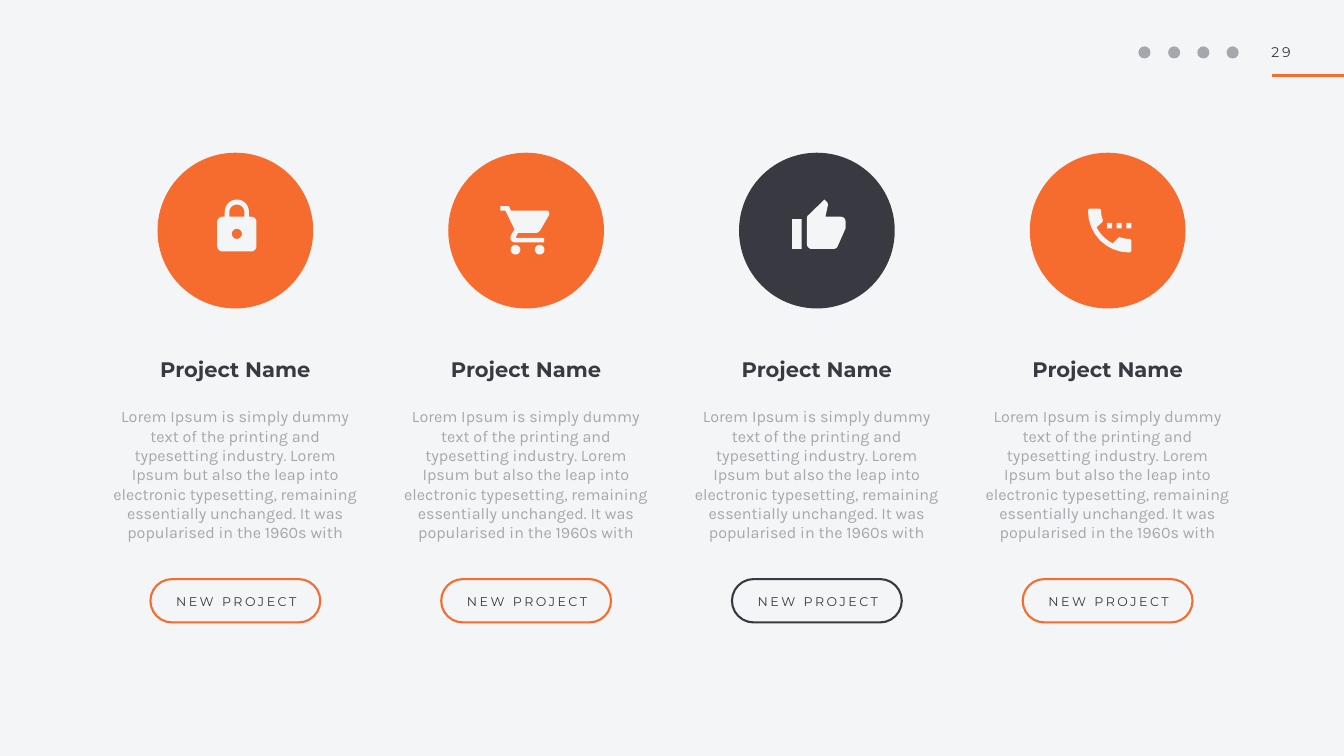
from lxml.etree import SubElement
from pptx import Presentation
from pptx.dml.color import RGBColor
from pptx.enum.shapes import MSO_CONNECTOR, MSO_SHAPE
from pptx.enum.text import MSO_ANCHOR, MSO_AUTO_SIZE, PP_ALIGN
from pptx.oxml.ns import qn
from pptx.util import Inches, Pt

COLORS = {"paper": "F4F5F7", "orange": "F56C2E", "dark": "393941", "grey": "A6A7AC"}
HEADING = "Project Name"
BODY = ("Lorem Ipsum is simply dummy text of the printing and typesetting industry. "
        "Lorem Ipsum but also the leap into electronic typesetting, remaining "
        "essentially unchanged. It was popularised in the 1960s with")
BUTTON = "NEW PROJECT"
PAGE_NUMBER = "29"


def disc(x, y, radius):
    k = 0.55 * radius
    left, right, top, bottom = x - radius, x + radius, y - radius, y + radius
    return [(left, y), (left, y - k, x - k, top, x, top),
            (x + k, top, right, y - k, right, y),
            (right, y + k, x + k, bottom, x, bottom),
            (x - k, bottom, left, y + k, left, y)]


def block(left, top, right, bottom):
    return [(left, top), (right, top), (right, bottom), (left, bottom)]


# Icon outlines in hundredths of an inch: pairs are corners, sextets Bezier curves.
LOCK = [
    [(68, 34), (63, 34), (63, 25), (63, 11, 53, 0, 39, 0), (25, 0, 15, 11, 15, 25),
     (15, 34), (10, 34), (5, 34, 0, 39, 0, 44), (0, 92), (0, 98, 5, 103, 10, 103),
     (68, 103), (73, 103, 78, 98, 78, 92), (78, 44), (78, 39, 73, 34, 68, 34)],
    disc(39, 68, 10),
    [(54, 34), (24, 34), (24, 25), (24, 16, 31, 10, 39, 10), (47, 10, 54, 16, 54, 25)],
]
CART = [
    [(0, 0), (0, 9), (10, 9), (28, 46), (21, 58), (21, 59, 20, 61, 20, 63),
     (20, 69, 24, 72, 30, 72), (87, 72), (87, 63), (32, 63), (31, 63, 31, 62, 31, 62),
     (31, 61), (35, 53), (71, 53), (74, 53, 77, 51, 79, 48), (97, 17),
     (97, 16, 97, 16, 97, 15), (97, 11, 96, 9, 93, 9), (21, 9), (17, 0)],
    disc(30, 86.5, 9.5),
    disc(78, 86.5, 9.5),
]
THUMB = [
    block(0, 39, 19, 98),
    [(106, 44), (106, 38, 102, 34, 96, 34), (66, 34), (71, 11), (71, 10),
     (71, 8, 70, 6, 69, 5), (64, 0), (31, 32), (30, 33, 29, 36, 29, 39), (29, 87),
     (29, 93, 33, 98, 39, 98), (82, 98), (86, 98, 90, 95, 91, 91), (106, 57),
     (106, 56, 106, 55, 106, 53)],
]
PHONE = [
    *[block(left, 28, left + 10, 39) for left in (38, 57, 76)],
    [(82, 60), (76, 60, 71, 59, 64, 57), (63, 56, 61, 57, 60, 58), (49, 69),
     (36, 62, 24, 51, 17, 37), (28, 27), (29, 25, 30, 23, 29, 21),
     (27, 17, 26, 10, 26, 4), (26, 2, 24, 0, 22, 0), (5, 0), (1, 0, 0, 2, 0, 4),
     (0, 50, 36, 87, 82, 87), (84, 87, 86, 85, 86, 82), (86, 64),
     (86, 62, 84, 60, 82, 60)],
]

# Accent colour, icon, icon left edge from the column centre, icon top
PROJECTS = [
    ("orange", LOCK, -0.36, 3.96),
    ("orange", CART, -0.51, 4.09),
    ("dark", THUMB, -0.49, 3.96),
    ("orange", PHONE, -0.39, 4.14),
]
FIRST_CENTER, COLUMN_PITCH = 4.67, 5.77
SOCIAL_CENTERS = [22.71, 23.3, 23.88, 24.46]


def rgb(name):
    return RGBColor.from_string(COLORS[name])


def flatten(contour, steps=8):
    """Turn the curves of a contour into short straight segments."""
    points = []
    for node in contour:
        if len(node) == 2:
            points.append(node)
            continue
        x0, y0 = points[-1]
        x1, y1, x2, y2, x3, y3 = node
        for step in range(1, steps + 1):
            t = step / steps
            a, b, c, d = (1 - t) ** 3, 3 * t * (1 - t) ** 2, 3 * t * t * (1 - t), t ** 3
            points.append((a * x0 + b * x1 + c * x2 + d * x3,
                           a * y0 + b * y1 + c * y2 + d * y3))
    return points


def add_icon(slide, contours, left, top):
    outlines = [[(Inches(left + x / 100), Inches(top + y / 100))
                 for x, y in flatten(contour)] for contour in contours]
    builder = slide.shapes.build_freeform(*outlines[0][0])
    for number, outline in enumerate(outlines):
        if number:
            builder.move_to(*outline[0])
        builder.add_line_segments(outline[1:], close=True)
    paint(builder.convert_to_shape(), "paper")


def paint(shape, fill=None, line=None, width=3):
    shape.shadow.inherit = False
    if fill:
        shape.fill.solid()
        shape.fill.fore_color.rgb = rgb(fill)
    else:
        shape.fill.background()
    if line:
        shape.line.color.rgb = rgb(line)
        shape.line.width = Pt(width)
    else:
        shape.line.fill.background()


def add_shape(slide, kind, center, top, width, height):
    return slide.shapes.add_shape(kind, Inches(center - width / 2), Inches(top),
                                  Inches(width), Inches(height))


def add_text(slide, text, center, top, width, height, font, size, color,
             bold=False, spacing=0, line_spacing=None, align=PP_ALIGN.CENTER,
             anchor=MSO_ANCHOR.MIDDLE, grow=True):
    box = slide.shapes.add_textbox(Inches(center - width / 2), Inches(top),
                                   Inches(width), Inches(height))
    frame = box.text_frame
    frame.text = text
    frame.word_wrap = True
    frame.auto_size = MSO_AUTO_SIZE.SHAPE_TO_FIT_TEXT if grow else MSO_AUTO_SIZE.NONE
    frame.vertical_anchor = anchor
    frame.margin_left = frame.margin_right = Inches(0.04)
    frame.margin_top = frame.margin_bottom = Inches(0.04)
    para = frame.paragraphs[0]
    para.alignment = align
    if line_spacing:
        para.line_spacing = line_spacing
    span = para.runs[0]
    span.font.name, span.font.size, span.font.bold = font, Pt(size), bold
    span.font.color.rgb = rgb(color)
    if spacing:
        span.font._element.set("spc", str(round(spacing * 100)))


def add_header(slide):
    for center in SOCIAL_CENTERS:
        paint(add_shape(slide, MSO_SHAPE.OVAL, center, 0.92, 0.24, 0.24), "grey")
    rule = slide.shapes.add_connector(MSO_CONNECTOR.STRAIGHT, Inches(25.24), Inches(1.5),
                                      Inches(26.67), Inches(1.5))
    rule.line.color.rgb = rgb("orange")
    rule.line.width = Pt(4)
    SubElement(rule._element.spPr, qn("a:effectLst"))
    add_text(slide, PAGE_NUMBER, 25.52, 0.83, 0.66, 0.42, "Montserrat", 20, "dark",
             spacing=4, align=PP_ALIGN.LEFT, anchor=MSO_ANCHOR.TOP)


def add_project(slide, center, accent, icon, icon_offset, icon_top):
    paint(add_shape(slide, MSO_SHAPE.OVAL, center, 3.03, 3.09, 3.09), accent)
    add_icon(slide, icon, center + icon_offset, icon_top)
    add_text(slide, HEADING, center, 7.08, 4.98, 0.6, "Montserrat", 30, "dark",
             bold=True, line_spacing=0.8)
    add_text(slide, BODY, center, 8.03, 5, 2.83, "Karla", 23, "grey",
             anchor=MSO_ANCHOR.TOP, grow=False)
    button = add_shape(slide, MSO_SHAPE.ROUNDED_RECTANGLE, center, 11.49, 3.37, 0.86)
    button.adjustments[0] = 0.5
    paint(button, line=accent)
    add_text(slide, BUTTON, center + 0.02, 11.73, 2.68, 0.39, "Montserrat", 18, "dark",
             spacing=3.6)


def main():
    deck = Presentation()
    deck.slide_width, deck.slide_height = Inches(26.67), Inches(15)
    slide = deck.slides.add_slide(deck.slide_layouts[6])
    slide.background.fill.solid()
    slide.background.fill.fore_color.rgb = rgb("paper")
    add_header(slide)
    for column, project in enumerate(PROJECTS):
        add_project(slide, FIRST_CENTER + column * COLUMN_PITCH, *project)
    deck.save("out.pptx")


if __name__ == "__main__":
    main()
